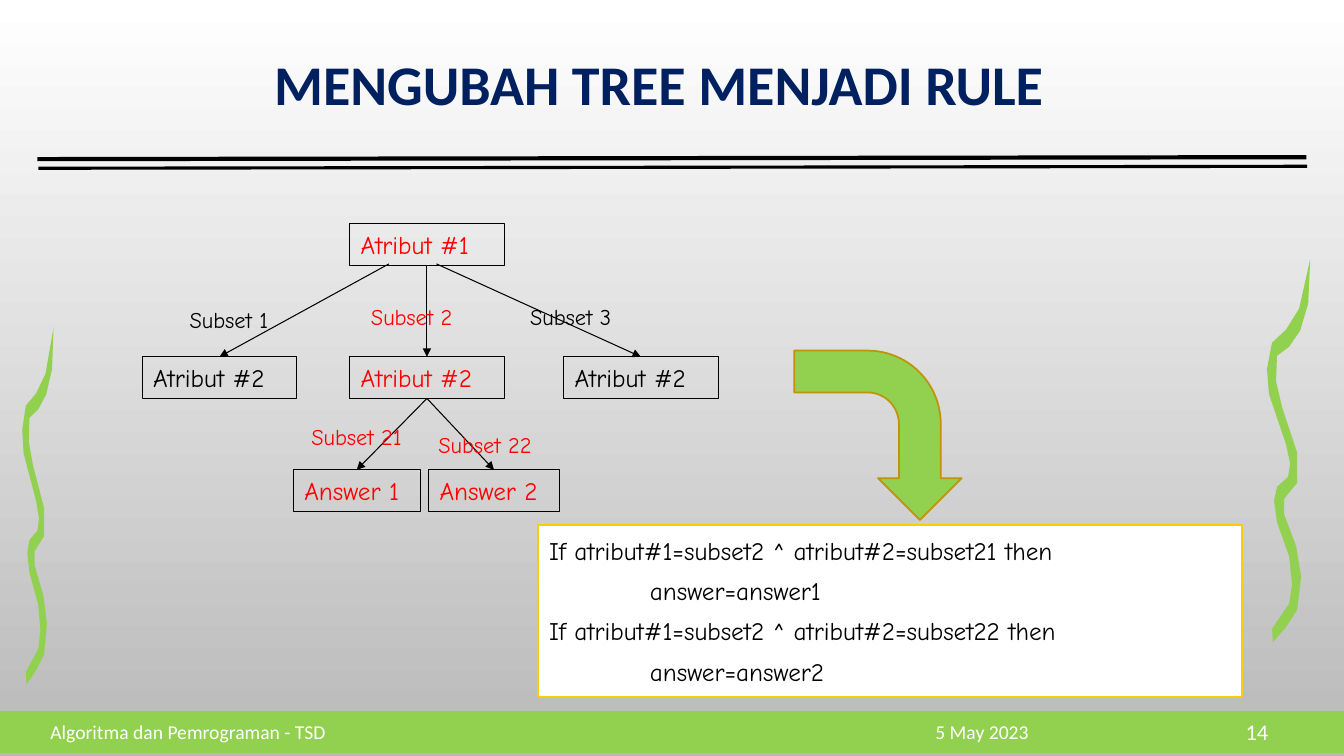
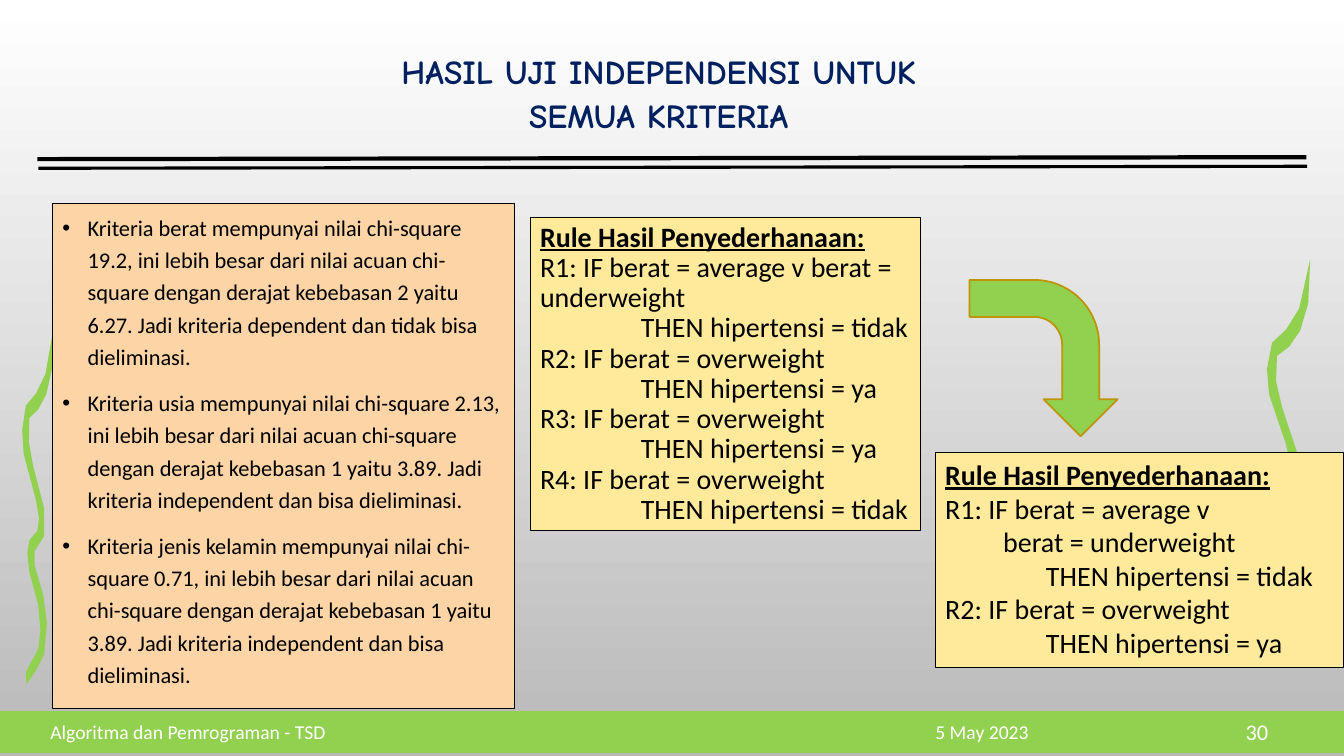
from lxml.etree import SubElement
from pptx import Presentation
from pptx.dml.color import RGBColor
from pptx.enum.shapes import MSO_CONNECTOR, MSO_SHAPE
from pptx.enum.text import MSO_ANCHOR, PP_ALIGN
from pptx.oxml.ns import qn
from pptx.util import Cm, Pt

WIDE, HIGH = 33.87, 19.05
GREEN, NAVY, RED, BLACK, WHITE = "92D050", "002060", "FF0000", "000000", "FFFFFF"
GOLD, BROWN, PEACH, CREAM = "FFCA08", "BD9506", "FCD4A5", "FFEA9C"
HAND = "Comic Neue"
FOOT_TOP, FOOT_HIGH = 17.93, 1.02
NODE_HIGH = 1.05
VINE = [(32, 49), (19, 70), (5, 83), (0, 109), (2, 134), (19, 184), (23, 203),
        (21, 216), (10, 226), (7, 240), (10, 261), (22, 295), (25, 323),
        (22, 342), (5, 367), (6, 380), (19, 365), (30, 348), (34, 315),
        (29, 285), (17, 253), (17, 238), (30, 222), (30, 192), (15, 147),
        (9, 121), (10, 96), (22, 87), (33, 71), (41, 44), (43, 0)]
HEAD = ("Rule Hasil Penyederhanaan:", {"bold": True, "under": True})
THEN = {"left": 2.54}


def tint(code):
    """Turn a hex string into a colour."""
    return RGBColor.from_string(code)


def style(para, words, size=18, font="Calibri", color=BLACK, bold=False,
          under=False, align=PP_ALIGN.LEFT, space=1.0, before=0, left=0,
          hang=0, bullet=None):
    """Fill one paragraph with words and format it."""
    para.text = words
    para.alignment = align
    para.line_spacing = space
    para.space_before = Pt(before)
    for run in para.runs:
        run.font.size = Pt(size)
        run.font.name = font
        run.font.bold = bold
        run.font.underline = under
        run.font.color.rgb = tint(color)
    props = para._p.get_or_add_pPr()
    props.set("marL", str(Cm(left)))
    props.set("indent", str(Cm(-hang)))
    if bullet:
        SubElement(props, qn("a:buFont")).set("typeface", "Arial")
        SubElement(props, qn("a:buChar")).set("char", bullet)


def say(shape, lines, inset=(0.25, 0.13), anchor=MSO_ANCHOR.TOP, **look):
    """Write lines, each a string or a (string, format) pair, into a shape."""
    frame = shape.text_frame
    frame.word_wrap = True
    frame.vertical_anchor = anchor
    frame.margin_left = frame.margin_right = Cm(inset[0])
    frame.margin_top = frame.margin_bottom = Cm(inset[1])
    for spot, line in enumerate(lines):
        words, extra = (line, {}) if isinstance(line, str) else line
        para = frame.add_paragraph() if spot else frame.paragraphs[0]
        style(para, words, **{**look, **extra})


def paint(shape, fill=None, line=None, width=0.75):
    """Set the fill and outline of a shape and drop its shadow."""
    shape.shadow.inherit = False
    if fill:
        shape.fill.solid()
        shape.fill.fore_color.rgb = tint(fill)
    else:
        shape.fill.background()
    if line:
        shape.line.color.rgb = tint(line)
        shape.line.width = Pt(width)
    else:
        shape.line.fill.background()
    return shape


def box(slide, spot, kind=MSO_SHAPE.RECTANGLE, **look):
    """Add a painted preset shape at left, top, width, height."""
    return paint(slide.shapes.add_shape(kind, *map(Cm, spot)), **look)


def note(slide, spot, words, **look):
    """Add a text box centred in height."""
    area = slide.shapes.add_textbox(*map(Cm, spot))
    say(area, [words], anchor=MSO_ANCHOR.MIDDLE, **look)


def rule(slide, start, end, width=0.75, head=False):
    """Add a black straight line, with an arrowhead if asked."""
    link = slide.shapes.add_connector(
        MSO_CONNECTOR.STRAIGHT, *map(Cm, (*start, *end)))
    link.line.color.rgb = tint(BLACK)
    link.line.width = Pt(width)
    if head:
        SubElement(link.line._get_or_add_ln(), qn("a:tailEnd")).set("type", "triangle")
    SubElement(link._element.spPr, qn("a:effectLst"))
    return link


def vine(slide, left, top, wide, high):
    """Draw the wavy side ornament scaled to a frame."""
    dots = [(Cm(left + wide * x / 43), Cm(top + high * y / 380)) for x, y in VINE]
    pen = slide.shapes.build_freeform(*dots[0])
    pen.add_line_segments(dots[1:], close=True)
    paint(pen.convert_to_shape(), fill=GREEN)


def turn(slide, spot):
    """Add the bent arrow that points down."""
    arrow = box(slide, spot, MSO_SHAPE.BENT_ARROW, fill=GREEN, line=BROWN, width=1.25)
    arrow.rotation = 90


def node(slide, left, top, wide, words, color):
    """Add one outlined node of the tree."""
    shape = box(slide, (left, top, wide, NODE_HIGH), line=BLACK)
    say(shape, [words], inset=(0.28, 0), anchor=MSO_ANCHOR.MIDDLE, font=HAND, color=color)
    return shape


def join(slide, child, start=(0, 0), parent=None):
    """Point an arrow at the top of a child node."""
    link = rule(slide, start, start, head=True)
    if parent:
        link.begin_connect(parent, 2)
    link.end_connect(child, 0)


def base(deck, page, title, top=0.69, **look):
    """Add a slide with the shared background, bands, title and footer."""
    slide = deck.slides.add_slide(deck.slide_layouts[6])
    back = slide.background.fill
    back.gradient()
    back.gradient_angle = 270
    for stop, place, code in zip(back.gradient_stops, (0, 1), (WHITE, "B9B9B9")):
        stop.position = place
        stop.color.rgb = tint(code)
    box(slide, (0, FOOT_TOP, WIDE, FOOT_HIGH), fill=GREEN, line=GREEN, width=1.25)
    vine(slide, 31.93, 6.53, 1.09, 9.65)
    vine(slide, 0.56, 8.26, 0.79, 8.99)
    rule(slide, (0.97, 4.24), (32.94, 4.19), 2.25)
    rule(slide, (0.94, 4.01), (32.92, 3.96), 3)
    note(slide, (2.21, top, 28.78, 3.02), title, color=NAVY, bold=True,
         align=PP_ALIGN.CENTER, **look)
    for left, wide, words, size, align in (
            (1.02, 19.68, "Algoritma dan Pemrograman - TSD", 14, PP_ALIGN.LEFT),
            (20.7, 8.1, "5 May 2023", 14, PP_ALIGN.CENTER),
            (29.03, 3.18, page, 16, PP_ALIGN.RIGHT)):
        note(slide, (left, FOOT_TOP, wide, FOOT_HIGH), words, size=size,
             color=WHITE, align=align)
    return slide


def tree(slide):
    """Draw the decision tree with its branch labels."""
    root = node(slide, 8.81, 5.64, 3.9, "Atribut #1", RED)
    kids = [node(slide, left, 8.99, 3.9, "Atribut #2", color)
            for left, color in ((3.58, BLACK), (8.81, RED), (14.2, BLACK))]
    ends = [node(slide, left, 11.84, wide, words, RED)
            for left, wide, words in ((7.39, 3.2, "Answer 1"), (10.8, 3.3, "Answer 2"))]
    join(slide, kids[0], start=(9.8, 6.65))
    join(slide, kids[1], parent=root)
    join(slide, kids[2], start=(11, 6.65))
    for end in ends:
        join(slide, end, parent=kids[1])
    for left, top, words, color in (
            (4.78, 7.7, "Subset 1", BLACK), (9.35, 7.62, "Subset 2", RED),
            (13.36, 7.62, "Subset 3", BLACK), (7.85, 10.64, "Subset 21", RED),
            (11.05, 10.85, "Subset 22", RED)):
        note(slide, (left, top, 3.2, 0.7), words, inset=(0, 0), size=16,
             font=HAND, color=color)


def first(deck):
    """Build the slide that turns a tree into rules."""
    slide = base(deck, "14", "MENGUBAH TREE MENJADI RULE", size=40, space=0.9)
    rules = box(slide, (13.56, 13.23, 17.75, 4.34), fill=WHITE, line=GOLD, width=1.25)
    say(rules, [f"If atribut#1=subset2 ^ atribut#2=subset2{pick} then\vanswer=answer{pick}"
                for pick in (1, 2)],
        inset=(0, 0), font=HAND, space=Pt(28.8), left=2.82, hang=2.54)
    tree(slide)
    turn(slide, (19.99, 8.86, 4.27, 4.22))


def second(deck):
    """Build the slide with the test results."""
    slide = base(deck, "30", "HASIL UJI INDEPENDENSI UNTUK\vSEMUA KRITERIA",
                 top=0.8, size=24, font=HAND, space=Pt(31))
    facts = box(slide, (1.32, 5.13, 11.66, 12.73), fill=PEACH, line=BLACK)
    say(facts, [
        "Kriteria berat mempunyai nilai chi-square 19.2, ini lebih besar dari nilai "
        "acuan chi-square dengan derajat kebebasan 2 yaitu 6.27. Jadi kriteria "
        "dependent dan tidak bisa dieliminasi.",
        "Kriteria usia mempunyai nilai chi-square 2.13, ini lebih besar dari nilai "
        "acuan chi-square dengan derajat kebebasan 1 yaitu 3.89. Jadi kriteria "
        "independent dan bisa dieliminasi.",
        "Kriteria jenis kelamin mempunyai nilai chi-square 0.71, ini lebih besar dari "
        "nilai acuan chi-square dengan derajat kebebasan 1 yaitu 3.89. Jadi kriteria "
        "independent dan bisa dieliminasi."],
        size=16, space=1.2, before=10, left=0.64, hang=0.64, bullet="•")
    yes, no = [(f"THEN hipertensi = {word}", THEN) for word in ("ya", "tidak")]
    full = box(slide, (13.36, 5.49, 9.83, 7.87), fill=CREAM, line=BLACK)
    say(full, [HEAD, "R1: IF berat = average v berat = underweight", no,
               "R2: IF berat = overweight", yes,
               "R3: IF berat = overweight", yes,
               "R4: IF berat = overweight", no], size=20, space=0.9)
    brief = box(slide, (23.57, 11.4, 10.29, 5.41), fill=CREAM, line=BLACK)
    say(brief, [HEAD, "R1: IF berat = average v",
                ("berat = underweight", {"left": 1.46}), no,
                "R2: IF berat = overweight", yes], size=20)
    turn(slide, (24.33, 7.16, 3.94, 3.73))


def main():
    """Build and save the deck."""
    deck = Presentation()
    deck.slide_width, deck.slide_height = Cm(WIDE), Cm(HIGH)
    first(deck)
    second(deck)
    deck.save("out.pptx")


if __name__ == "__main__":
    main()
